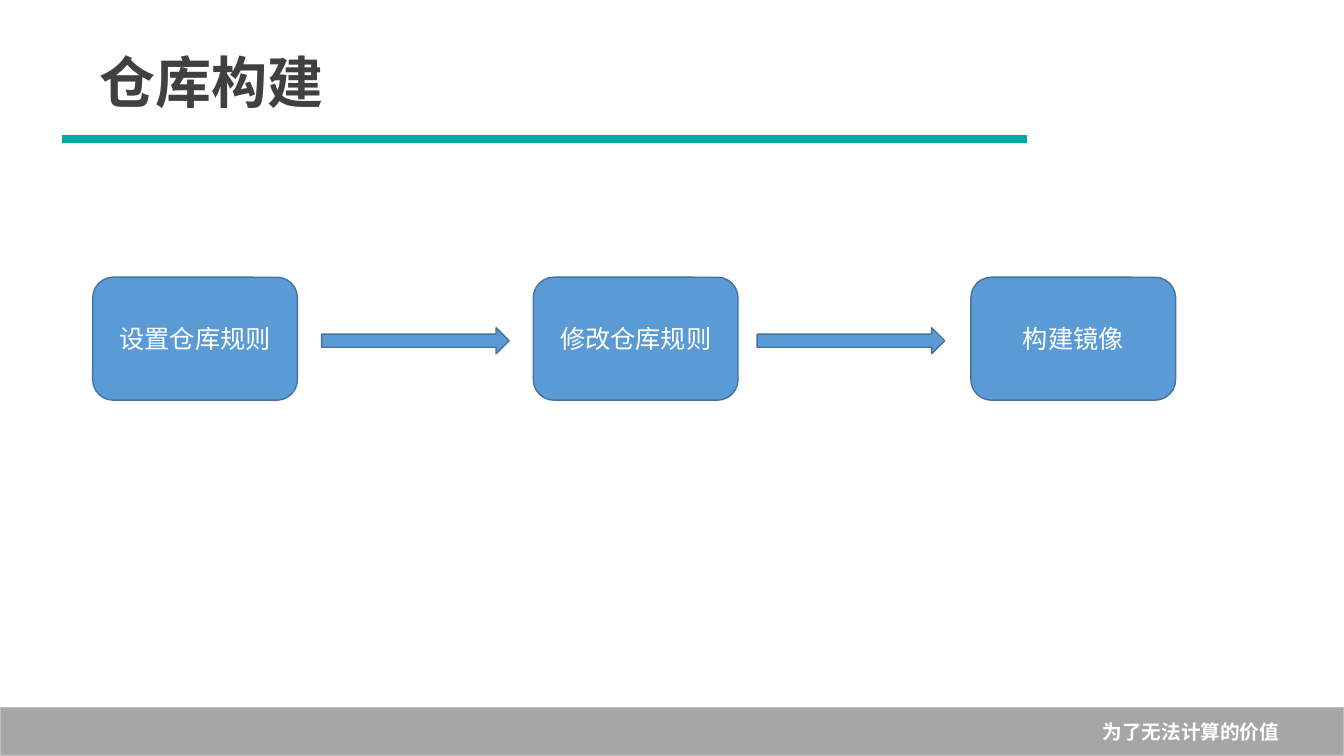
from dataclasses import dataclass

from lxml import etree
from pptx import Presentation
from pptx.dml.color import RGBColor
from pptx.enum.shapes import MSO_CONNECTOR as Connector, MSO_SHAPE as Shape
from pptx.enum.text import MSO_ANCHOR as Anchor, PP_ALIGN as Align
from pptx.oxml.ns import qn
from pptx.util import Inches, Pt


@dataclass(frozen=True)
class Theme:
    font: str = "Calibri"
    title: str = "404040"
    rule: str = "00A99F"
    step: str = "5B9BD5"
    step_line: str = "43739E"
    footer: str = "A6A6A6"
    footer_line: str = "BFBFBF"
    white: str = "FFFFFF"
    title_size: float = 40
    step_size: float = 18
    footer_size: float = 14
    rule_width: float = 5.75
    outline_width: float = 1


THEME = Theme()
SLIDE_WIDTH, SLIDE_HEIGHT = 13.33, 7.5


def color(value):
    return RGBColor.from_string(value)


def write_text(shape, text, *, size, fill, bold=False, align=Align.LEFT):
    frame = shape.text_frame
    frame.word_wrap = True
    frame.vertical_anchor = Anchor.MIDDLE
    paragraph = frame.paragraphs[0]
    paragraph.alignment = align
    run = paragraph.add_run()
    run.text = text
    run.font.name = THEME.font
    run.font.size = Pt(size)
    run.font.bold = bold
    run.font.color.rgb = color(fill)


def add_block(slide, kind, box, fill, line):
    shape = slide.shapes.add_shape(kind, *map(Inches, box))
    shape.shadow.inherit = False
    shape.fill.solid()
    shape.fill.fore_color.rgb = color(fill)
    shape.line.color.rgb = color(line)
    shape.line.width = Pt(THEME.outline_width)
    return shape


def add_footer(slide, box, text):
    bar = add_block(slide, Shape.RECTANGLE, box, THEME.footer, THEME.footer_line)
    bar.text_frame.margin_right = Inches(0.64)
    write_text(bar, text, size=THEME.footer_size, fill=THEME.white,
               bold=True, align=Align.RIGHT)


def add_header(slide, box, text):
    left, top, width, height = box
    # Rule along the bottom of the header
    bottom = Inches(top + height)
    rule = slide.shapes.add_connector(
        Connector.STRAIGHT, Inches(left), bottom, Inches(left + width), bottom)
    rule.line.color.rgb = color(THEME.rule)
    rule.line.width = Pt(THEME.rule_width)
    etree.SubElement(rule.element.spPr, qn("a:effectLst"))
    # Title above the rule
    title = slide.shapes.add_textbox(
        Inches(left + 0.27), Inches(top), Inches(5.02), Inches(0.79))
    write_text(title, text, size=THEME.title_size, fill=THEME.title, bold=True)


def add_flow(slide, box, steps, step_offsets, arrow_offsets):
    left, top, _, height = box
    step_width, arrow_width, arrow_height = 2.03, 1.86, 0.26
    # Steps
    for text, offset in zip(steps, step_offsets):
        step = add_block(slide, Shape.ROUNDED_RECTANGLE,
                         (left + offset, top, step_width, height),
                         THEME.step, THEME.step_line)
        write_text(step, text, size=THEME.step_size, fill=THEME.white,
                   align=Align.CENTER)
    # Arrows between the steps
    for offset in arrow_offsets:
        add_block(slide, Shape.RIGHT_ARROW,
                  (left + offset, top + 0.5, arrow_width, arrow_height),
                  THEME.step, THEME.step_line)


def main():
    presentation = Presentation()
    presentation.slide_width = Inches(SLIDE_WIDTH)
    presentation.slide_height = Inches(SLIDE_HEIGHT)
    slide = presentation.slides.add_slide(presentation.slide_layouts[6])

    add_footer(slide, (0, 7.02, SLIDE_WIDTH, 0.48), "为了无法计算的价值")
    add_header(slide, (0.62, 0.41, 9.57, 0.97), "仓库构建")
    add_flow(slide, (0.92, 2.75, 10.74, 1.22),
             ("设置仓库规则", "修改仓库规则", "构建镜像"),
             step_offsets=(0, 4.37, 8.71), arrow_offsets=(2.27, 6.59))

    presentation.save("out.pptx")


if __name__ == "__main__":
    main()
